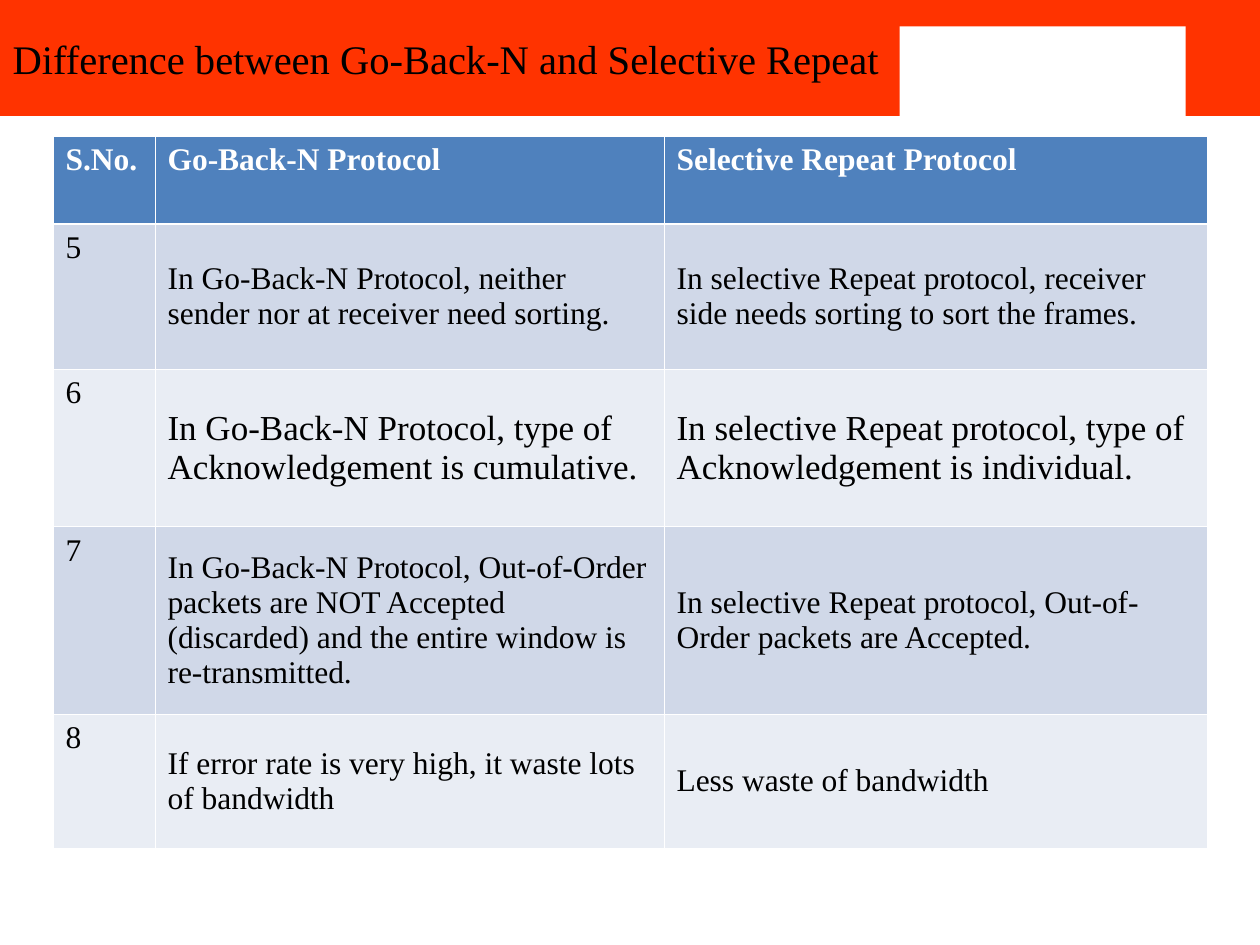
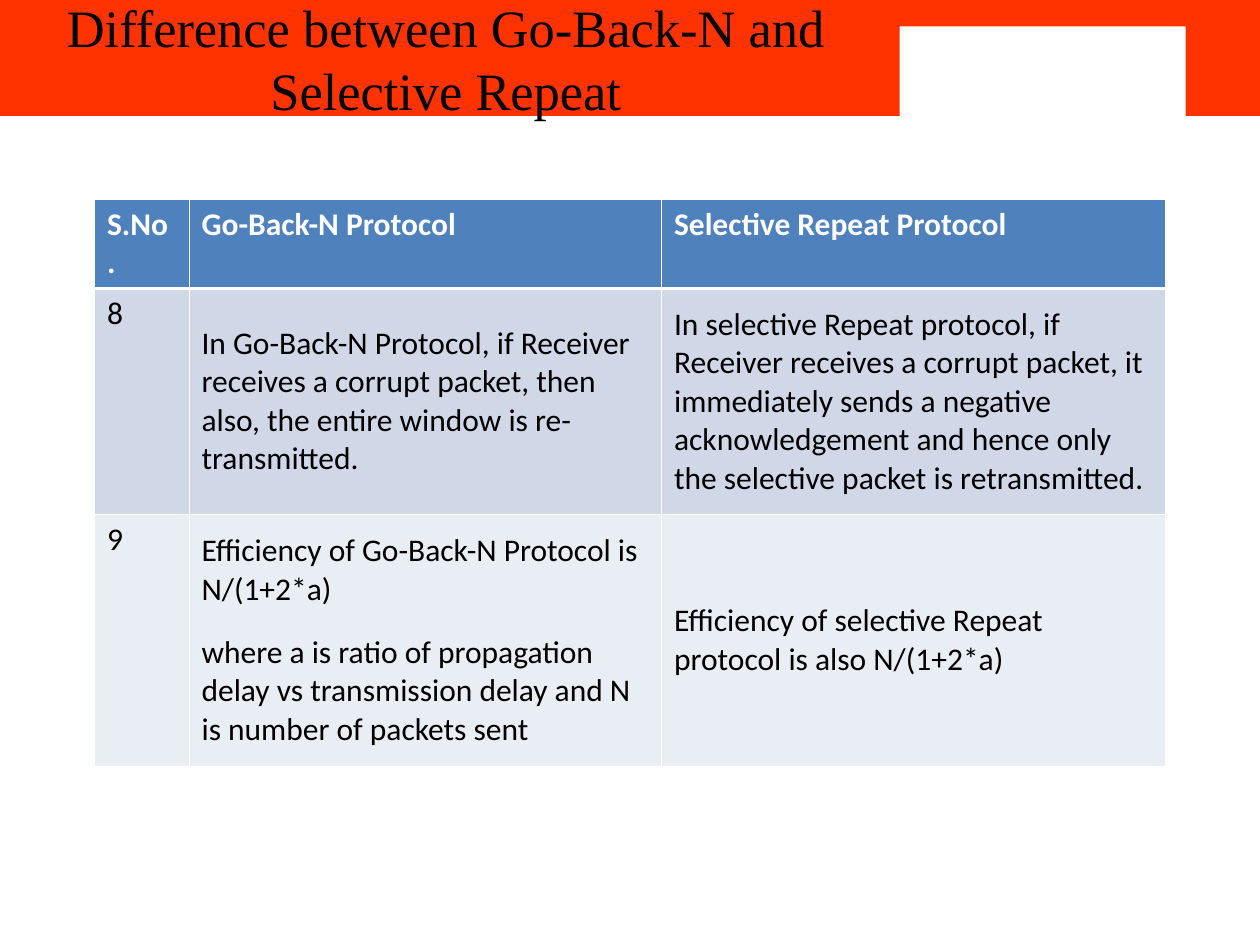
"""Build two slides comparing the Go-Back-N and Selective Repeat protocols."""
from lxml.etree import SubElement
from pptx import Presentation
from pptx.dml.color import RGBColor
from pptx.enum.shapes import MSO_SHAPE as Shape
from pptx.enum.text import MSO_ANCHOR as Anchor, MSO_AUTO_SIZE as AutoSize, PP_ALIGN as Align
from pptx.oxml.ns import qn
from pptx.util import Inches, Pt

ORANGE = RGBColor(0xFF, 0x33, 0x00)
WHITE = RGBColor(0xFF, 0xFF, 0xFF)
BLACK = RGBColor(0x00, 0x00, 0x00)
BLUE = RGBColor(0x4F, 0x81, 0xBD)
BANDS = (RGBColor(0xE9, 0xED, 0xF4), RGBColor(0xD0, 0xD8, 0xE8))
SERIF, SANS = "Times New Roman", "Calibri"
THIN, THICK = Pt(0.45), Pt(1.47)

TITLE = "Difference between Go-Back-N and Selective Repeat"
HEADER = ("S.No.", "Go-Back-N Protocol", "Selective Repeat Protocol")
BLOCKS = [
    ((0, 0, 10, 0.92), ORANGE),
    ((7.14, 0.21, 2.27, 0.75), WHITE),
]
SLIDES = [
    {
        "title_top": 0.04, "title_size": 23.2, "title_spacing": 0.8,
        "font": SERIF, "place": (0.42, 1.08),
        "columns": (0.81, 4.04, 4.31),
        "heights": (0.7, 1.15, 1.25, 1.49, 1.06),
        "large_rows": {2},
        "rows": [
            ("5", "In Go-Back-N Protocol, neither sender nor at receiver need sorting.",
             "In selective Repeat protocol, receiver side needs sorting to sort the frames."),
            ("6", "In Go-Back-N Protocol, type of Acknowledgement is cumulative.",
             "In selective Repeat protocol, type of Acknowledgement is individual."),
            ("7", "In Go-Back-N Protocol, Out-of-Order packets are NOT Accepted (discarded) "
             "and the entire window is re-transmitted.",
             "In selective Repeat protocol, Out-of-Order packets are Accepted."),
            ("8", "If error rate is very high, it waste lots of bandwidth",
             "Less waste of bandwidth"),
        ],
    },
    {
        "title_top": 0, "title_size": 30, "title_spacing": 1.0,
        "font": SANS, "place": (0.75, 1.58),
        "columns": (0.75, 3.75, 4),
        "heights": (0.7, 1.79, 2),
        "large_rows": set(),
        "rows": [
            ("8", "In Go-Back-N Protocol, if Receiver receives a corrupt packet, then also, "
             "the entire window is re-transmitted.",
             "In selective Repeat protocol, if Receiver receives a corrupt packet, it "
             "immediately sends a negative acknowledgement and hence only the selective "
             "packet is retransmitted."),
            ("9", "Efficiency of Go-Back-N Protocol is N/(1+2*a)\n"
             "where a is ratio of propagation delay vs transmission delay and N is number "
             "of packets sent",
             "Efficiency of selective Repeat protocol is also N/(1+2*a)"),
        ],
    },
]


def set_format(target, values):
    for name, value in values.items():
        setattr(target, name, value)


def set_font(para, color, **values):
    set_format(para.font, values)
    para.font.color.rgb = color


def add_blocks(page):
    for place, color in BLOCKS:
        block = page.shapes.add_shape(Shape.RECTANGLE, *map(Inches, place))
        block.shadow.inherit = False
        block.fill.solid()
        block.fill.fore_color.rgb = color
        block.line.fill.background()


def add_title(page, content):
    title = page.shapes.title
    title.element.getparent().append(title.element)
    set_format(title, {"left": 0, "top": Inches(content["title_top"]),
                       "width": Inches(7.08), "height": Inches(0.92)})
    title.text = TITLE
    set_format(title.text_frame, {"auto_size": AutoSize.NONE, "word_wrap": True,
                                  "vertical_anchor": Anchor.MIDDLE})
    para = title.text_frame.paragraphs[0]
    set_format(para, {"alignment": Align.CENTER, "line_spacing": content["title_spacing"]})
    set_font(para, BLACK, name=SERIF, size=Pt(content["title_size"]))


def add_borders(cell, row):
    properties = cell._tc.get_or_add_tcPr()
    widths = {"lnL": THIN, "lnR": THIN, "lnT": THICK if row == 1 else THIN,
              "lnB": THICK if row == 0 else THIN}
    for index, (side, width) in enumerate(widths.items()):
        line = SubElement(properties, qn(f"a:{side}"), w=str(width))
        SubElement(SubElement(line, qn("a:solidFill")), qn("a:srgbClr"), val=str(WHITE))
        properties.insert(index, line)


def fill_cell(cell, text, row, column, content):
    is_header = row == 0
    is_body = row > 0 and column > 0
    cell.text = text
    cell.vertical_anchor = Anchor.MIDDLE if is_body else Anchor.TOP
    cell.fill.solid()
    cell.fill.fore_color.rgb = BLUE if is_header else BANDS[row % 2]
    size = 20 if is_body and row in content["large_rows"] else 18
    for index, para in enumerate(cell.text_frame.paragraphs):
        if index:
            para.space_before = Pt(14)
        set_font(para, WHITE if is_header else BLACK, name=content["font"],
                 size=Pt(size), bold=is_header)
    add_borders(cell, row)


def add_comparison(page, content):
    columns, heights = content["columns"], content["heights"]
    size = (sum(columns), sum(heights))
    table = page.shapes.add_table(len(heights), len(columns),
                                  *map(Inches, content["place"] + size)).table
    for column, width in zip(table.columns, columns):
        column.width = Inches(width)
    for row, height in zip(table.rows, heights):
        row.height = Inches(height)
    for row, texts in enumerate([HEADER] + content["rows"]):
        for column, text in enumerate(texts):
            fill_cell(table.cell(row, column), text, row, column, content)


def main():
    deck = Presentation()
    set_format(deck, {"slide_width": Inches(10), "slide_height": Inches(7.5)})
    for content in SLIDES:
        page = deck.slides.add_slide(deck.slide_layouts[5])
        add_blocks(page)
        add_comparison(page, content)
        add_title(page, content)
    deck.save("out.pptx")


if __name__ == "__main__":
    main()
